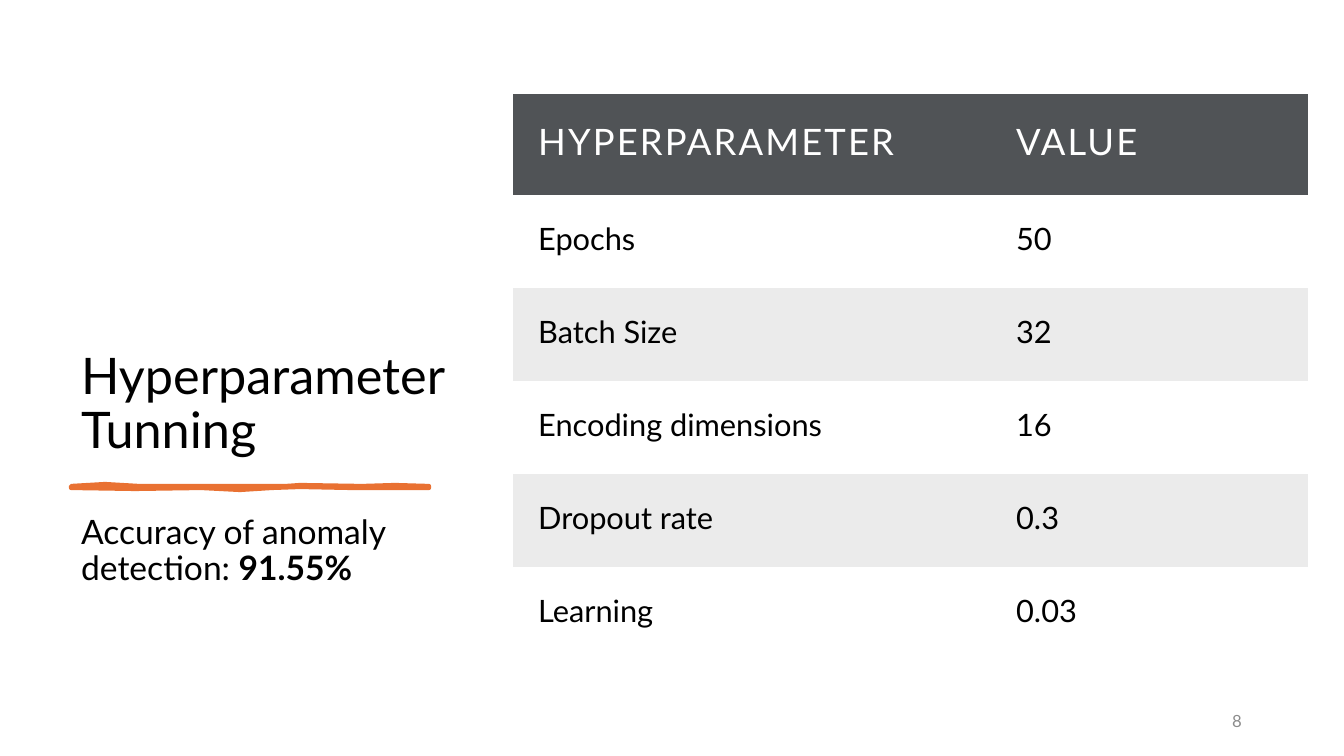
from pptx import Presentation
from pptx import util as u
from pptx.dml.color import RGBColor
from pptx.enum import text
from pptx.oxml.ns import qn

SCALE = 914400 / 100.8  # EMU per px
FONT = "Lato"
NO_STYLE_NO_GRID = "{2D5ABB26-0587-4C30-8999-92F81FD0307C}"
COLORS = {
    "ink": "000000",
    "header": "505356",
    "header_text": "FFFFFF",
    "band": "EBEBEB",
    "accent": "E97132",
    "number": "8C8C8C",
}
ROWS = [
    ("HYPERPARAMETER", "VALUE"),
    ("Epochs", "50"),
    ("Batch Size", "32"),
    ("Encoding dimensions", "16"),
    ("Dropout rate", "0.3"),
    ("Learning", "0.03"),
]
STROKE = [
    (71, 486), (88, 485), (105, 484), (122, 485), (139, 486), (211, 486),
    (286, 486), (300, 485), (362, 486), (395, 485), (429, 486), (429, 488),
    (380, 488), (351, 488), (300, 487), (272, 488), (240, 490), (201, 488),
    (135, 489), (71, 488),
]


def px(n):
    return u.Emu(round(n * SCALE))


def color(name):
    return RGBColor.from_string(COLORS[name])


def place(sp, x, y, w, h):
    sp.left, sp.top, sp.width, sp.height = px(x), px(y), px(w), px(h)


def format_runs(p, size, ink, bold=False):
    for r in p.runs:
        r.font.name = FONT
        r.font.size = u.Pt(size)
        r.font.bold = bold
        r.font.color.rgb = color(ink)


def set_frame(tf, anchor):
    tf.word_wrap = True
    tf.auto_size = text.MSO_AUTO_SIZE.NONE
    tf.vertical_anchor = anchor


def add_title(slide):
    sp = slide.shapes.title
    place(sp, 71, 71, 394, 394)
    tf = sp.text_frame
    set_frame(tf, text.MSO_ANCHOR.BOTTOM)
    tf.text = "Hyperparameter Tunning"
    p = tf.paragraphs[0]
    p.alignment = text.PP_ALIGN.LEFT
    p.line_spacing = 0.9
    format_runs(p, 36, "ink")


def add_accuracy(slide):
    sp = slide.placeholders[1]
    place(sp, 71, 510, 394, 172)
    tf = sp.text_frame
    set_frame(tf, text.MSO_ANCHOR.TOP)
    tf.text = "Accuracy of anomaly detection: "
    p = tf.paragraphs[0]
    pPr = p._p.get_or_add_pPr()
    pPr.set("marL", "0")
    pPr.set("indent", "0")
    pPr.append(pPr.makeelement(qn("a:buNone"), {}))
    p.line_spacing = 0.9
    p.space_before = u.Pt(0)
    p.add_run().text = "91.55%"
    format_runs(p, 24, "ink")
    p.runs[1].font.bold = True


def add_underline(slide):
    builder = slide.shapes.build_freeform(*STROKE[0], scale=SCALE)
    builder.add_line_segments(STROKE[1:], close=True)
    sp = builder.convert_to_shape()
    sp.shadow.inherit = False
    sp.fill.solid()
    sp.fill.fore_color.rgb = color("accent")
    sp.line.color.rgb = color("accent")
    sp.line.width = u.Pt(3)


def add_slide_number(slide):
    sp = slide.shapes.add_textbox(px(950), px(701), px(302), px(40))
    tf = sp.text_frame
    set_frame(tf, text.MSO_ANCHOR.MIDDLE)
    tf.text = "8"
    p = tf.paragraphs[0]
    p.alignment = text.PP_ALIGN.RIGHT
    p.space_after = u.Pt(6)
    format_runs(p, 12, "number")


def fill_cell(cell, value, row):
    cell.margin_left = cell.margin_right = u.Inches(0.25)
    cell.margin_top = cell.margin_bottom = u.Inches(0.25)
    cell.text = value
    p = cell.text_frame.paragraphs[0]
    if row == 0:
        format_runs(p, 26, "header_text")
        p.runs[0]._r.get_or_add_rPr().set("spc", "150")
    else:
        format_runs(p, 22, "ink")
    if row % 2 and row > 0:
        cell.fill.background()
    else:
        cell.fill.solid()
        cell.fill.fore_color.rgb = color("band" if row else "header")


def add_parameter_table(slide):
    widths = (478, 317)
    heights = [101] + [93] * (len(ROWS) - 1)
    frame = slide.shapes.add_table(len(ROWS), len(widths), px(513), px(94),
                                   px(sum(widths)), px(sum(heights)))
    table = frame.table
    table._tbl.tblPr.find(qn("a:tableStyleId")).text = NO_STYLE_NO_GRID
    for column, width in zip(table.columns, widths):
        column.width = px(width)
    for i, values in enumerate(ROWS):
        table.rows[i].height = px(heights[i])
        for j, value in enumerate(values):
            fill_cell(table.cell(i, j), value, i)


def main():
    prs = Presentation()
    prs.slide_width, prs.slide_height = px(1344), px(756)
    slide = prs.slides.add_slide(prs.slide_layouts[1])
    add_title(slide)
    add_accuracy(slide)
    add_underline(slide)
    add_slide_number(slide)
    add_parameter_table(slide)
    prs.save("out.pptx")


if __name__ == "__main__":
    main()
